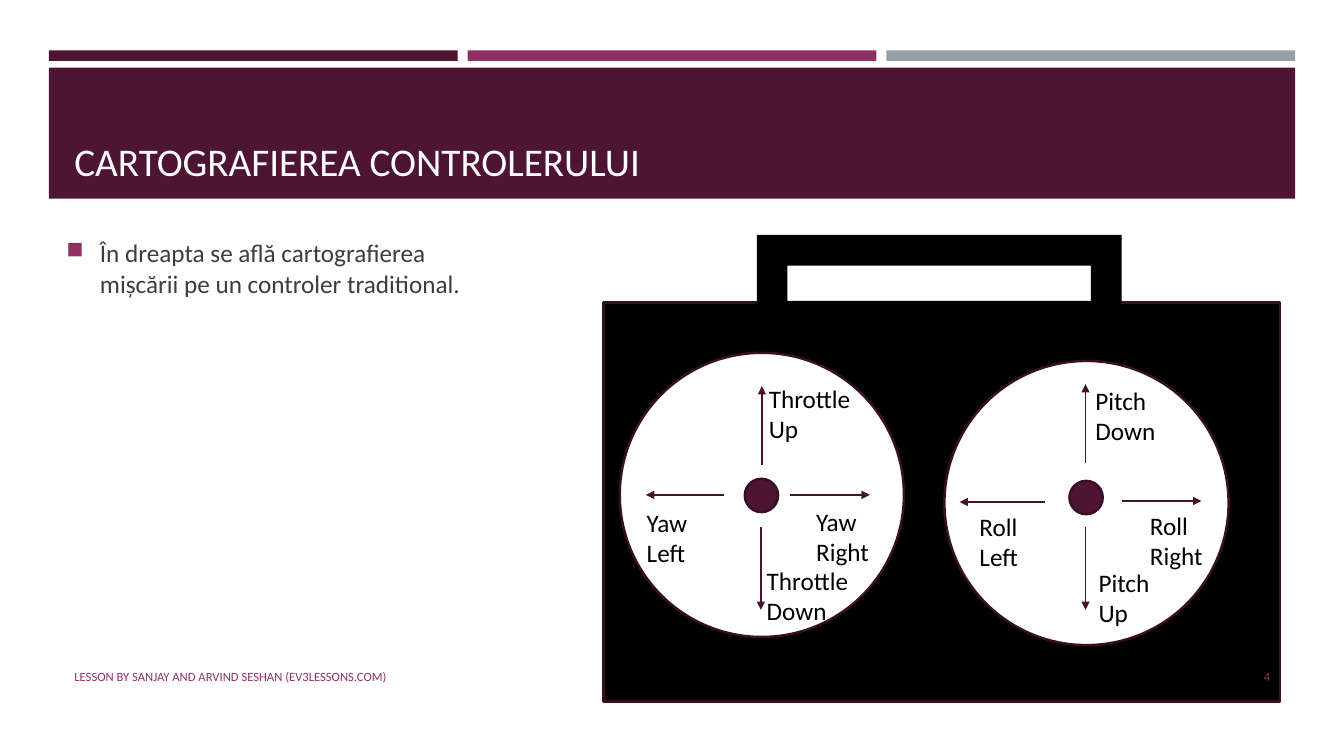
from dataclasses import dataclass

from lxml import etree
from pptx import Presentation
from pptx.dml.color import RGBColor
from pptx.enum.shapes import MSO_CONNECTOR, MSO_SHAPE
from pptx.enum.text import MSO_ANCHOR, PP_ALIGN
from pptx.oxml.ns import qn
from pptx.util import Pt

RECT, OVAL, FRAME = MSO_SHAPE.RECTANGLE, MSO_SHAPE.OVAL, MSO_SHAPE.FRAME
STRAIGHT = MSO_CONNECTOR.STRAIGHT
TOP, MIDDLE, BOTTOM = MSO_ANCHOR.TOP, MSO_ANCHOR.MIDDLE, MSO_ANCHOR.BOTTOM
LEFT, RIGHT = PP_ALIGN.LEFT, PP_ALIGN.RIGHT


@dataclass(frozen=True)
class Theme:
    """Colours, font and type sizes of the deck."""
    plum: str = "4D1434"
    berry: str = "903163"
    grey: str = "969FA7"
    outline: str = "390F26"
    arrow: str = "45122F"
    body: str = "3D3D3D"
    black: str = "000000"
    white: str = "FFFFFF"
    font: str = "Calibri"
    title_size: float = 28
    text_size: float = 18
    footer_size: float = 9
    outline_width: float = 1.75
    arrow_width: float = 1


THEME = Theme()

THROTTLE_YAW = {
    "knob": (89.3, 90),
    "arrows": [
        (121.7, 101.5, 178.6, 101.5),
        (74.2, 101.5, 18.7, 101.5),
        (101.5, 79.9, 101.5, 23.8),
        (100.8, 124.6, 100.8, 183.6),
    ],
    "labels": [
        ("Yaw Left", 12.2, 106.6, 48.2),
        ("Yaw Right", 133.2, 105.8, 58.3),
        ("Throttle Up", 99.4, 18, 91.4),
        ("Throttle Down", 97.9, 148.3, 91.4),
    ],
}
PITCH_ROLL = {
    "knob": (89.3, 85.7),
    "arrows": [
        (126.7, 100.1, 183.6, 100.1),
        (72, 100.8, 10.8, 100.8),
        (100.8, 72.7, 100.8, 16.6),
        (100.8, 118.8, 100.8, 177.8),
    ],
    "labels": [
        ("Roll Left", 18, 103.7, 48.2),
        ("Roll\nRight", 139.7, 103, 58.3),
        ("Pitch Down", 100.8, 13.7, 91.4),
        ("Pitch Up", 103, 144, 64.8),
    ],
}


def add_solid(slide, kind, box, fill, outlined=False):
    """Add a filled preset shape, with the dark outline if asked."""
    solid = slide.shapes.add_shape(kind, *map(Pt, box))
    solid.shadow.inherit = False
    solid.fill.solid()
    solid.fill.fore_color.rgb = RGBColor.from_string(fill)
    if outlined:
        solid.line.color.rgb = RGBColor.from_string(THEME.outline)
        solid.line.width = Pt(THEME.outline_width)
    else:
        solid.line.fill.background()
    return solid


def add_text(slide, text, box, size, color, anchor=TOP, align=LEFT):
    """Add a wrapped text box and return its text frame."""
    frame = slide.shapes.add_textbox(*map(Pt, box)).text_frame
    frame.word_wrap = True
    frame.vertical_anchor = anchor
    frame.text = text
    for paragraph in frame.paragraphs:
        paragraph.alignment = align
        for run in paragraph.runs:
            run.font.name = THEME.font
            run.font.size = Pt(size)
            run.font.color.rgb = RGBColor.from_string(color)
    return frame


def add_arrow(slide, start_x, start_y, end_x, end_y):
    """Add a straight arrow pointing to its end."""
    arrow = slide.shapes.add_connector(
        STRAIGHT, Pt(start_x), Pt(start_y), Pt(end_x), Pt(end_y))
    arrow.line.color.rgb = RGBColor.from_string(THEME.arrow)
    arrow.line.width = Pt(THEME.arrow_width)
    head = etree.SubElement(arrow.line._get_or_add_ln(), qn("a:tailEnd"))
    head.set("type", "triangle")
    etree.SubElement(arrow._element.spPr, qn("a:effectLst"))


def add_header(slide, left, top, width, height):
    """Add the three colour bars and the title band under them."""
    gap = 7.2
    bar_width = (width - 2 * gap) / 3
    for index, color in enumerate((THEME.plum, THEME.berry, THEME.grey)):
        bar_left = left + index * (bar_width + gap)
        add_solid(slide, RECT, (bar_left, top, bar_width, 7.5), color)
    band_top = top + 12.3
    band_height = height - 12.3
    add_solid(slide, RECT, (left, band_top, width, band_height), THEME.plum)
    add_text(slide, "CARTOGRAFIEREA CONTROLERULUI",
             (left + 11.2, band_top + 7.2, width - 22.4, band_height - 14),
             THEME.title_size, THEME.white, BOTTOM)


def add_explanation(slide, left, top, width, height):
    """Add the bulleted explanation."""
    frame = add_text(
        slide,
        "În dreapta se află cartografierea mișcării pe un controler traditional.",
        (left, top, width, height), THEME.text_size, THEME.body)
    paragraph = frame.paragraphs[0]
    paragraph.space_after = Pt(6)
    properties = paragraph._p.get_or_add_pPr()
    properties.set("marL", str(Pt(24)))
    properties.set("indent", str(-Pt(24)))
    color = etree.SubElement(properties, qn("a:buClr"))
    etree.SubElement(color, qn("a:srgbClr")).set("val", THEME.berry)
    etree.SubElement(properties, qn("a:buSzPct")).set("val", "92000")
    etree.SubElement(properties, qn("a:buChar")).set("char", "■")


def add_dial(slide, left, top, size, stick):
    """Add one control stick with its arrows and labels."""
    add_solid(slide, OVAL, (left, top, size, size), THEME.white, True)
    knob_x, knob_y = stick["knob"]
    add_solid(slide, OVAL, (left + knob_x, top + knob_y, 23.8, 23.8),
              THEME.plum, True)
    for start_x, start_y, end_x, end_y in stick["arrows"]:
        add_arrow(slide, left + start_x, top + start_y,
                  left + end_x, top + end_y)
    for label, label_x, label_y, label_width in stick["labels"]:
        add_text(slide, label,
                 (left + label_x, top + label_y, label_width, 51.1),
                 THEME.text_size, THEME.black)


def add_controller(slide, left, top, width, height):
    """Add the controller case, its handle and both dials."""
    case_top = top + 48.2
    add_solid(slide, RECT, (left, case_top, width, height - 48.2),
              THEME.black, True)
    add_dial(slide, left + 11.5, case_top + 36, 203, THROTTLE_YAW)
    add_dial(slide, left + 243.4, case_top + 41.8, 203, PITCH_ROLL)
    handle = add_solid(slide, FRAME, (left + 109.4, top, 260.6, 69.1),
                       THEME.black)
    handle.adjustments[0] = 0.317


def add_footer(slide, left, top, width, height):
    """Add the credit line and the slide number."""
    add_text(slide, "4", (left + width - 82.8, top, 82.8, height),
             THEME.footer_size, THEME.berry, MIDDLE, RIGHT)
    add_text(slide, "LESSON BY SANJAY AND ARVIND SESHAN (EV3LESSONS.COM)",
             (left, top, 544.3, height),
             THEME.footer_size, THEME.berry, MIDDLE)


def main():
    """Build the slide and save it."""
    deck = Presentation()
    deck.slide_width, deck.slide_height = Pt(960), Pt(540)
    slide = deck.slides.add_slide(deck.slide_layouts[6])
    add_header(slide, 34.9, 36, 890.3, 106)
    add_explanation(slide, 40.3, 166.3, 313.9, 289.4)
    add_controller(slide, 431.2, 167.8, 483.2, 333.4)
    add_footer(slide, 46.1, 468.7, 868.3, 28.8)
    deck.save("out.pptx")


if __name__ == "__main__":
    main()
